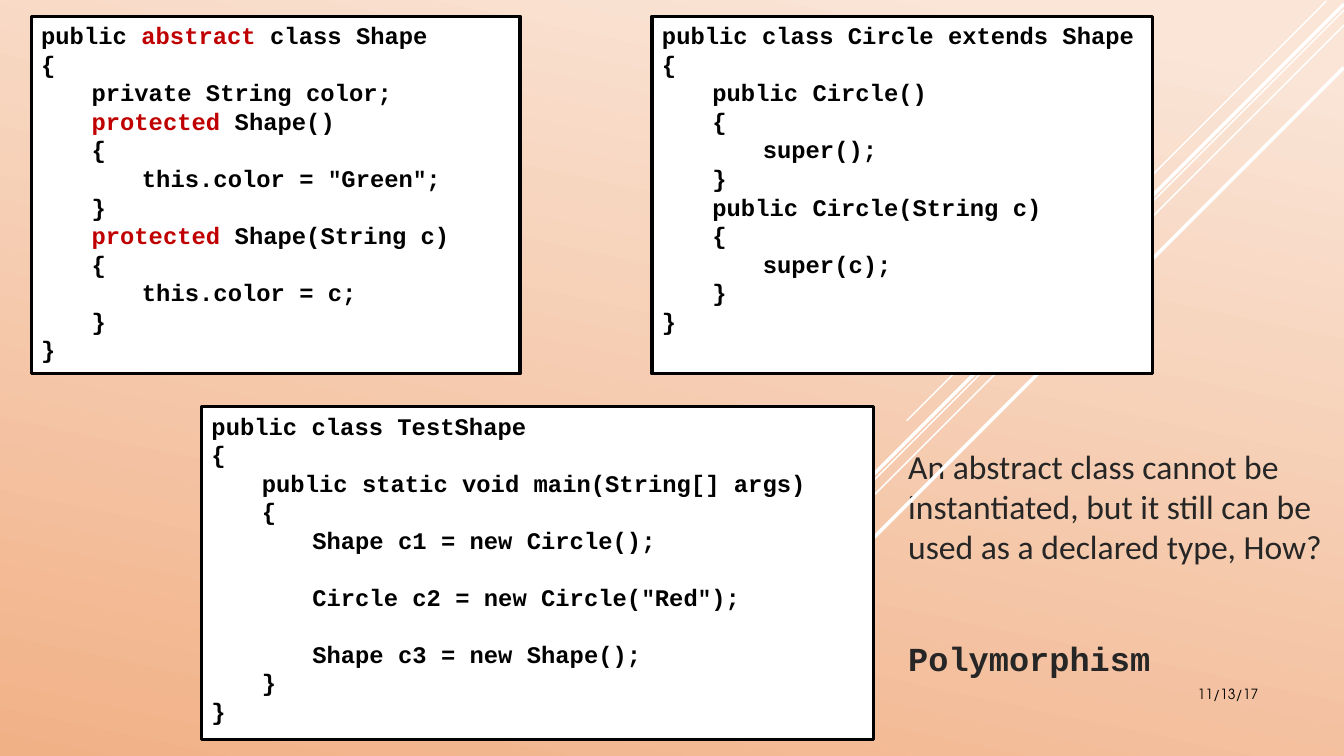
from lxml.etree import SubElement
from pptx import Presentation
from pptx.dml.color import RGBColor
from pptx.enum.shapes import MSO_CONNECTOR as CONNECTOR, MSO_SHAPE as SHAPE
from pptx.enum.text import MSO_ANCHOR as ANCHOR, MSO_AUTO_SIZE as AUTO_SIZE, PP_ALIGN as ALIGN
from pptx.oxml.ns import qn
from pptx.util import Pt

COLORS = {"light": "FAE5D7", "peach": "F1B187", "white": "FFFFFF",
          "black": "000000", "keyword": "C00000", "body": "262626"}
INDENT = 36
CODE_LINE = 20.4

# Bars set off a highlighted keyword.
SHAPE_CODE = """public |abstract| class Shape
{
\tprivate String color;
\t|protected| Shape()
\t{
\t\tthis.color = "Green";
\t}
\t|protected| Shape(String c)
\t{
\t\tthis.color = c;
\t}
}"""
CIRCLE_CODE = """public class Circle extends Shape
{
\tpublic Circle()
\t{
\t\tsuper();
\t}
\tpublic Circle(String c)
\t{
\t\tsuper(c);
\t}
}"""
TEST_CODE = """public class TestShape
{
\tpublic static void main(String[] args)
\t{
\t\tShape c1 = new Circle();

\t\tCircle c2 = new Circle("Red");

\t\tShape c3 = new Shape();
\t}
}"""


def color(name):
    return RGBColor.from_string(COLORS[name])


def style(font, name, size, tint, bold=False):
    font.name, font.size, font.bold = name, Pt(size), bold
    font.color.rgb = color(tint)


deck = Presentation()
deck.slide_width, deck.slide_height = Pt(960), Pt(540)
page = deck.slides.add_slide(deck.slide_layouts[1])
title = page.shapes.title.element
title.getparent().remove(title)

# Background
backdrop = page.background.fill
backdrop.gradient()
backdrop.gradient_angle = 258
for stop, (tint, position) in zip(backdrop.gradient_stops, [("light", 0.07), ("peach", 1)]):
    stop.color.rgb = color(tint)
    stop.position = position

# Diagonal rays: right end, horizontal run (all fall at 45 degrees), weight
for right, top, run, weight in [(947.5, 0.7, 299.8, 1), (960, 7.2, 478.8, 1),
                                (960, 18, 390.2, 1), (960, 2.9, 382, 2.5),
                                (960, 48.2, 342, 2.5)]:
    ray = page.shapes.add_connector(CONNECTOR.STRAIGHT, Pt(right), Pt(top),
                                    Pt(right - run), Pt(top + run))
    ray.line.color.rgb = color("white")
    ray.line.width = Pt(weight)
    SubElement(ray.element.spPr, qn("a:effectLst"))

# Date
date = page.shapes.add_textbox(Pt(779.8), Pt(486), Pt(126), Pt(28.8)).text_frame
date.word_wrap = True
date.text = "11/13/17"
date.paragraphs[0].alignment = ALIGN.RIGHT
style(date.paragraphs[0].runs[0].font, "TeX Gyre Adventor", 10, "black")

# Code panels
for left, top, width, height, code in [(22.3, 11.5, 349.2, 255.6, SHAPE_CODE),
                                       (465.8, 11.5, 357.8, 255.6, CIRCLE_CODE),
                                       (144, 290.2, 480.2, 238.3, TEST_CODE)]:
    panel = page.shapes.add_shape(SHAPE.RECTANGLE, Pt(left), Pt(top), Pt(width), Pt(height))
    panel.shadow.inherit = False
    panel.fill.solid()
    panel.fill.fore_color.rgb = color("white")
    panel.line.color.rgb = color("black")
    panel.line.width = Pt(2.25)
    frame = panel.text_frame
    frame.word_wrap = True
    frame.vertical_anchor = ANCHOR.TOP
    para, gap = frame.paragraphs[0], 0
    for number, line in enumerate(code.split("\n")):
        if not line:
            gap = CODE_LINE
            continue
        if number:
            para = frame.add_paragraph()
        tabs = SubElement(para._p.get_or_add_pPr(), qn("a:tabLst"))
        for level in (1, 2):
            SubElement(tabs, qn("a:tab"), pos=str(Pt(INDENT * level)), algn="l")
        para.alignment = ALIGN.LEFT
        para.line_spacing = Pt(CODE_LINE)
        para.space_before = Pt(gap)
        gap = 0
        for part in filter(None, line.replace('"', '|"|').split("|")):
            span = para.add_run()
            span.text = part
            style(span.font, "Courier New", 16 if part == '"' else 17,
                  "keyword" if part in ("abstract", "protected") else "black", True)

# Question and answer
body = page.placeholders[1]
body.left, body.top, body.width, body.height = Pt(641.5), Pt(313.2), Pt(348.5), Pt(200.2)
frame = body.text_frame
frame.text = ("An abstract class cannot be instantiated, but it still can be "
              "used as a declared type, How?\nPolymorphism")
frame.word_wrap = True
frame.auto_size = AUTO_SIZE.NONE
frame.vertical_anchor = ANCHOR.TOP
frame.margin_top = Pt(5.5)
for para, font_name, gap in zip(frame.paragraphs, ("Calibri", "Courier New"), (0, 51)):
    properties = para._p.get_or_add_pPr()
    properties.set("marL", "0")
    properties.set("indent", "0")
    SubElement(properties, qn("a:buNone"))
    para.line_spacing = Pt(28.6)
    para.space_before = Pt(gap)
    style(para.runs[0].font, font_name, 24, "body", font_name == "Courier New")

deck.save("out.pptx")
